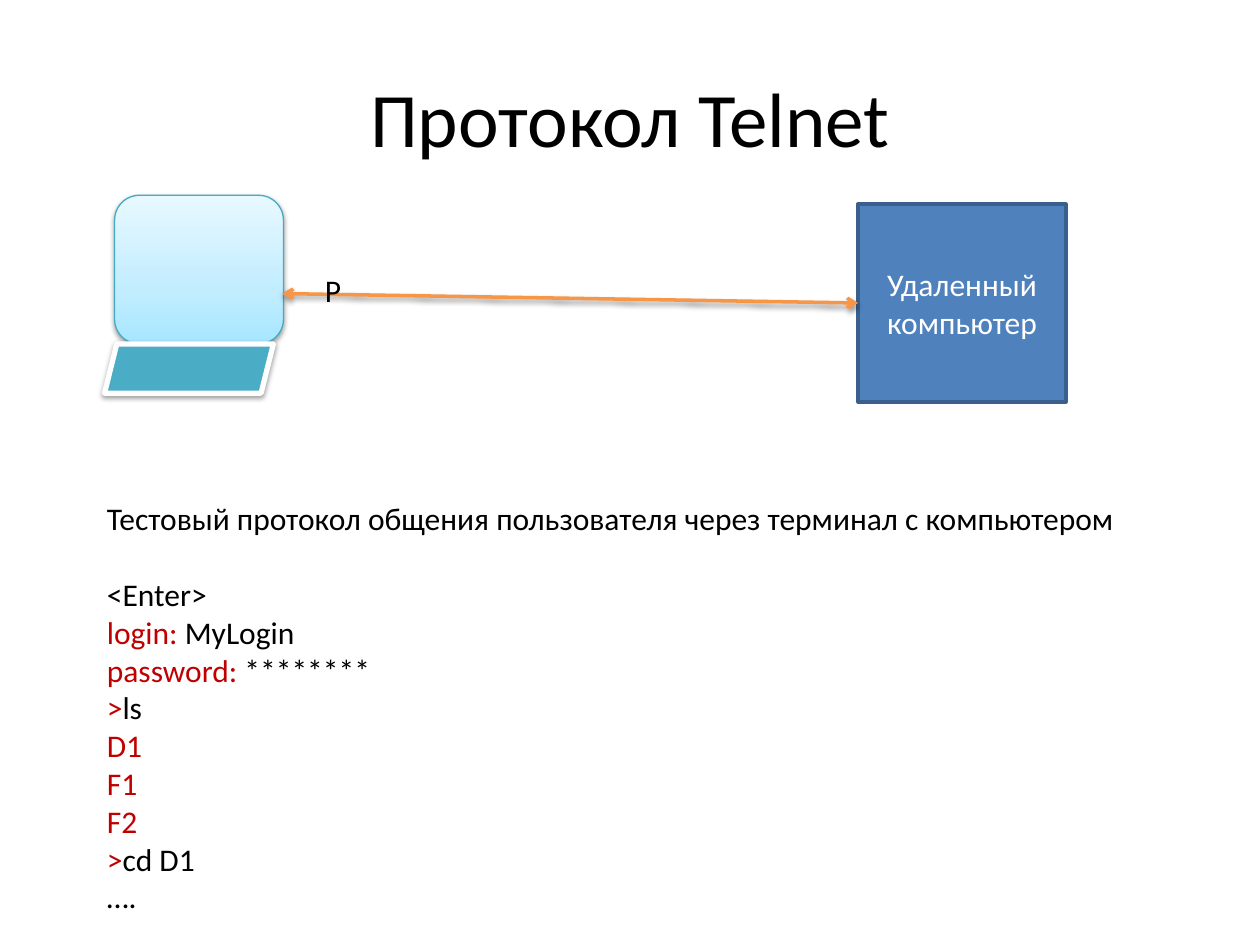
from lxml import etree
from pptx import Presentation
from pptx.dml.color import RGBColor
from pptx.enum.shapes import MSO_CONNECTOR, MSO_SHAPE
from pptx.enum.text import MSO_ANCHOR, PP_ALIGN
from pptx.oxml.ns import qn
from pptx.util import Inches, Pt

RECTANGLE = MSO_SHAPE.RECTANGLE
ROUNDED = MSO_SHAPE.ROUNDED_RECTANGLE
PARALLELOGRAM = MSO_SHAPE.PARALLELOGRAM
STRAIGHT = MSO_CONNECTOR.STRAIGHT
CENTER, LEFT = PP_ALIGN.CENTER, PP_ALIGN.LEFT
MIDDLE, TOP = MSO_ANCHOR.MIDDLE, MSO_ANCHOR.TOP

BLACK = RGBColor(0x00, 0x00, 0x00)
WHITE = RGBColor(0xFF, 0xFF, 0xFF)
RED = RGBColor(0xC0, 0x00, 0x00)
BLUE = RGBColor(0x4F, 0x81, 0xBD)
DARK_BLUE = RGBColor(0x3A, 0x5F, 0x8C)
TEAL = RGBColor(0x4B, 0xAC, 0xC6)
DARK_TEAL = RGBColor(0x46, 0xAA, 0xC5)
ORANGE = RGBColor(0xF7, 0x96, 0x46)
SCREEN_STOPS = [(0, "A7E6FF"), (35, "C1EDFF"), (100, "E7F8FF")]

FONT = "Calibri"
BODY_SIZE = 18
BLANK_LINE = Pt(22)

TITLE = "Протокол Telnet"
REMOTE = "Удаленный компьютер"
LINK_LABEL = "P"
INTRO = "Тестовый протокол общения пользователя через терминал с компьютером"
# Each line: what the server prints, then what the user types
SESSION = [
    ("", "<Enter>"),
    ("login: ", "MyLogin"),
    ("password: ", "********"),
    (">", "ls"),
    ("D1", ""),
    ("F1", ""),
    ("F2", ""),
    (">", "cd D1"),
    ("", "…."),
]


def write(frame, lines, size=BODY_SIZE, align=LEFT, anchor=TOP):
    """Fill a text frame; each line is a list of (text, colour) runs."""
    frame.word_wrap = True
    frame.vertical_anchor = anchor
    for index, runs in enumerate(lines):
        paragraph = frame.add_paragraph() if index else frame.paragraphs[0]
        paragraph.alignment = align
        for text, color in runs:
            run = paragraph.add_run()
            run.text = text
            run.font.name = FONT
            run.font.size = Pt(size)
            run.font.color.rgb = color


def add_shape(shapes, kind, box, fill, line, width):
    shape = shapes.add_shape(kind, *map(Inches, box))
    shape.shadow.inherit = False
    if fill is not None:
        shape.fill.solid()
        shape.fill.fore_color.rgb = fill
    shape.line.color.rgb = line
    shape.line.width = Pt(width)
    return shape


def add_text_box(slide, box, lines):
    text_box = slide.shapes.add_textbox(*map(Inches, box))
    write(text_box.text_frame, lines)
    return text_box


def add_child(parent, tag, **attributes):
    values = {name: str(value) for name, value in attributes.items()}
    return etree.SubElement(parent, qn(tag), values)


def add_color(parent, value):
    return add_child(parent, "a:srgbClr", val=value)


def add_soft_shadow(shape):
    properties = shape._element.spPr
    effects = properties.find(qn("a:effectLst"))
    if effects is None:
        effects = add_child(properties, "a:effectLst")
    shadow = add_child(effects, "a:outerShdw", blurRad=Pt(3.1), dist=Pt(1.6),
                       dir=90 * 60000, rotWithShape=0)
    add_child(add_color(shadow, "000000"), "a:alpha", val=38000)


def set_gradient(shape, stops):
    shape.fill.gradient()
    shape.fill.gradient_angle = 90
    stop_list = shape._element.spPr.find(".//" + qn("a:gsLst"))
    for stop in list(stop_list):
        stop_list.remove(stop)
    for position, color in stops:
        add_color(add_child(stop_list, "a:gs", pos=position * 1000), color)


def add_laptop(slide):
    group = slide.shapes.add_group_shape()
    screen = add_shape(group.shapes, ROUNDED, (0.91, 1.55, 1.34, 1.18),
                       None, DARK_TEAL, 0.75)
    set_gradient(screen, SCREEN_STOPS)
    keyboard = add_shape(group.shapes, PARALLELOGRAM, (0.83, 2.73, 1.34, 0.39),
                         TEAL, WHITE, 3)
    for part in (screen, keyboard):
        add_soft_shadow(part)


def add_link(slide, remote):
    link = slide.shapes.add_connector(
        STRAIGHT, Inches(2.24), Inches(2.33), Inches(6.81), Inches(2.41))
    link.end_connect(remote, 1)
    link.line.color.rgb = ORANGE
    link.line.width = Pt(2)
    outline = link._element.spPr.find(qn("a:ln"))
    for end in ("a:headEnd", "a:tailEnd"):
        add_child(outline, end, type="arrow")
    add_soft_shadow(link)


def main():
    presentation = Presentation()
    presentation.slide_width = Inches(10)
    presentation.slide_height = Inches(7.5)
    slide = presentation.slides.add_slide(presentation.slide_layouts[5])

    title = slide.shapes.title
    title.left, title.top = Inches(0.5), Inches(0.3)
    title.width, title.height = Inches(9), Inches(1.25)
    write(title.text_frame, [[(TITLE, BLACK)]], 44, CENTER, MIDDLE)

    remote = add_shape(slide.shapes, RECTANGLE, (6.81, 1.62, 1.65, 1.57),
                       BLUE, DARK_BLUE, 2)
    write(remote.text_frame, [[(REMOTE, WHITE)]], align=CENTER, anchor=MIDDLE)
    add_laptop(slide)
    add_link(slide, remote)
    add_text_box(slide, (2.48, 2.1, 1.02, 0.4), [[(LINK_LABEL, BLACK)]])

    lines = [[(INTRO, BLACK)]]
    for printed, typed in SESSION:
        runs = [(printed, RED), (typed, BLACK)]
        lines.append([run for run in runs if run[0]])
    session = add_text_box(slide, (0.75, 3.91, 8.43, 3.43), lines)
    session.text_frame.paragraphs[1].space_before = BLANK_LINE

    presentation.save("out.pptx")


if __name__ == "__main__":
    main()
